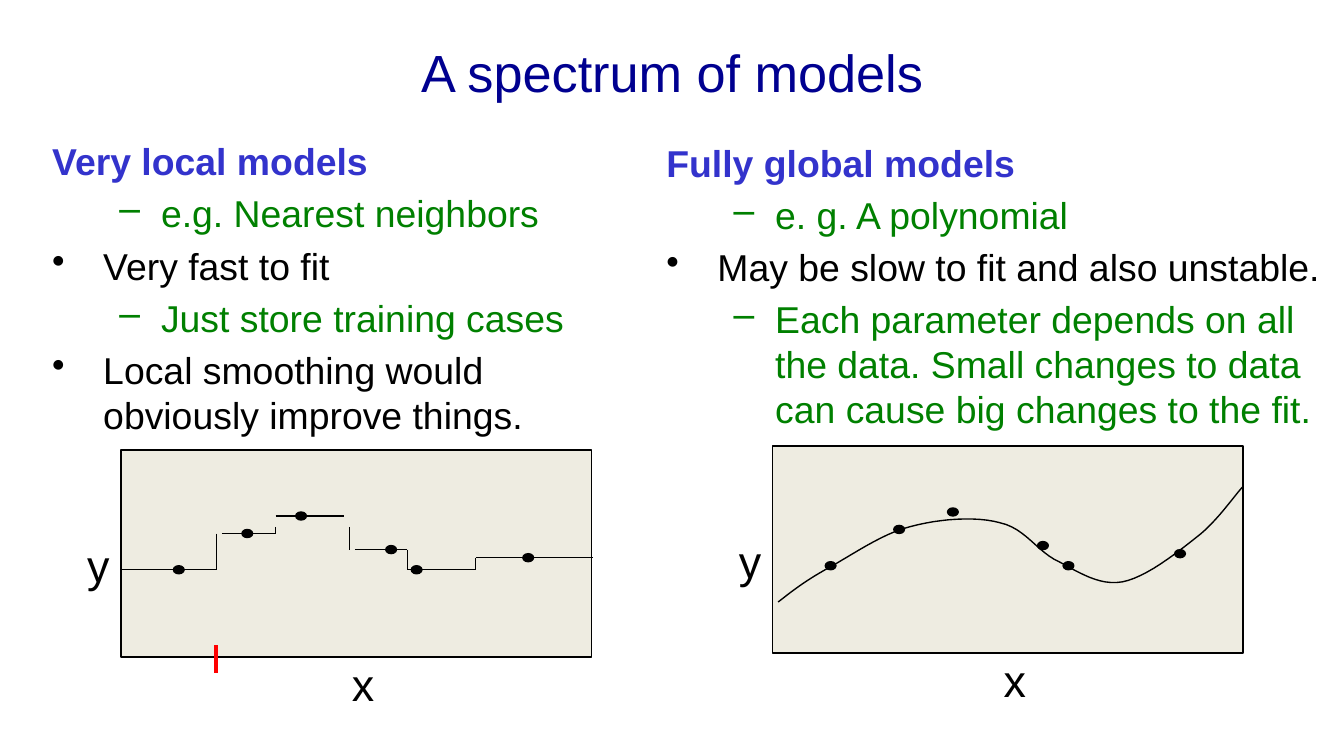
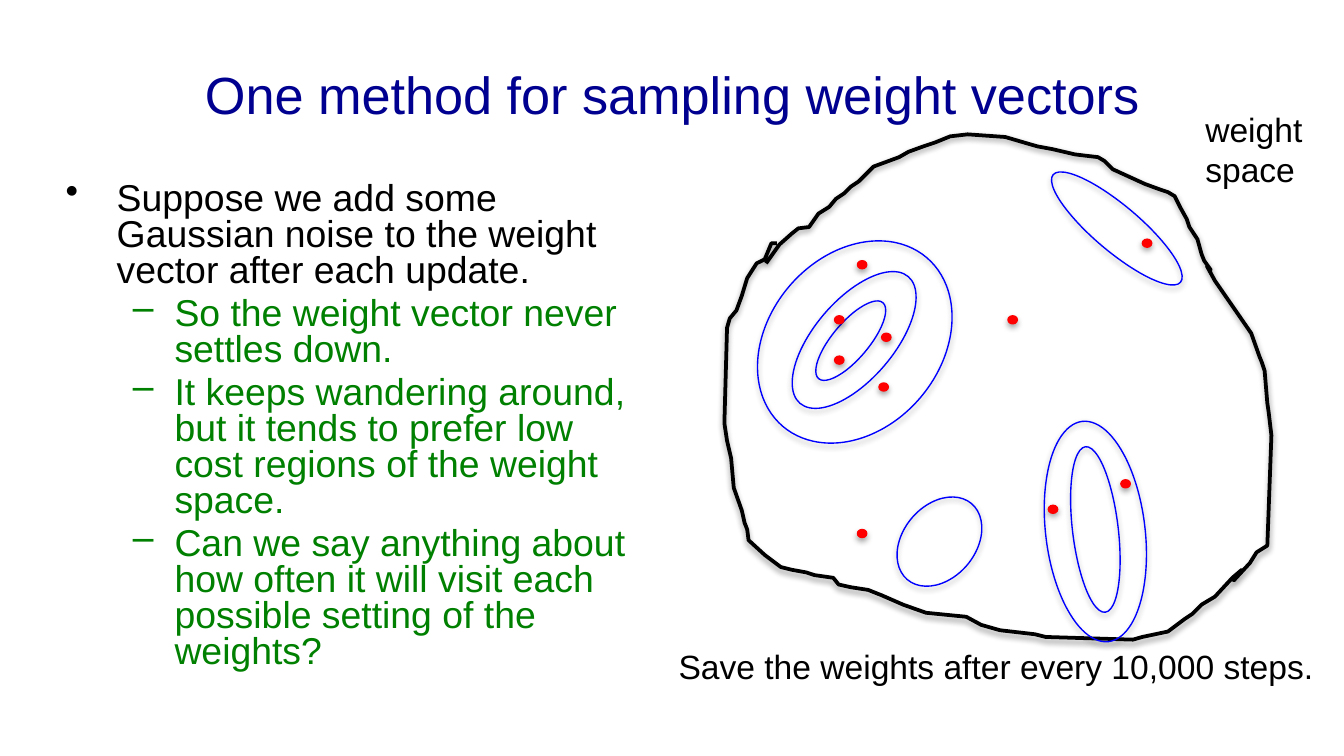
from collections import namedtuple

from lxml.etree import SubElement
from pptx import Presentation
from pptx.dml.color import RGBColor
from pptx.enum.shapes import MSO_CONNECTOR as Connector, MSO_SHAPE as Preset
from pptx.enum.text import MSO_ANCHOR as Anchor, PP_ALIGN as Align
from pptx.oxml.ns import qn
from pptx.util import Inches, Pt

# Every length is a number of grid cells: 100 columns by 56.25 rows
COLUMNS, ROWS = 100, 56.25
CELL = Inches(10) / COLUMNS
Box = namedtuple("Box", "left top width height")

FONT = "Arial"
NAVY, INDIGO, GREEN = "000090", "3333CC", "008000"
BLACK, RED, BLUE, SAND = "000000", "FF0000", "0000FF", "EEECE1"
THIN = 0.75

# Body text styles: colour, bold, bullet, left margin, hanging indent, level
Style = namedtuple("Style", "color bold bullet margin hang level")
HEADING = Style(INDIGO, True, None, 3.8, 3.8, 0)
POINT = Style(BLACK, False, "•", 3.8, 3.8, 0)
DETAIL = Style(GREEN, False, "–", 8.1, 3.1, 1)

LOCAL_TEXT = [
    (HEADING, "Very local models"),
    (DETAIL, "e.g. Nearest neighbors"),
    (POINT, "Very fast to fit"),
    (DETAIL, "Just store training cases"),
    (POINT, "Local smoothing would obviously improve things."),
]
GLOBAL_TEXT = [
    (HEADING, "Fully global models"),
    (DETAIL, "e. g. A polynomial"),
    (POINT, "May be slow to fit and also unstable."),
    (DETAIL, "Each parameter depends on all the data. Small changes to data "
             "can cause big changes to the fit."),
]
SAMPLING_TEXT = [
    (POINT, "Suppose we add some Gaussian noise to the weight vector after each update."),
    (DETAIL, "So the weight vector never settles down."),
    (DETAIL, "It keeps wandering around, but it tends to prefer low cost regions "
             "of the weight space."),
    (DETAIL, "Can we say anything about how often it will visit each possible "
             "setting of the weights?"),
]

# Plot parts, relative to the plot's box
TRAINING_CASES = [(3.9, 8.6), (9, 5.9), (13, 4.6), (19.7, 7.1), (21.6, 8.6), (29.9, 7.7)]
STEPS = [
    (0, 8.9, 7.1, 8.9), (7.5, 6.2, 11.5, 6.2), (11.5, 4.9, 16.6, 4.9),
    (17.4, 7.4, 21.3, 7.4), (21.3, 8.9, 26.4, 8.9), (26.4, 8, 35.1, 8),
    (7.1, 6.2, 7.1, 8.9), (11.5, 5.7, 11.5, 6.2), (17, 5.7, 17, 7.4),
    (21.3, 7.4, 21.3, 8.9), (26.4, 8.9, 26.4, 8),
]
BOUNDARY_TICK = (7.1, 14.5, 7.1, 16.6)
POLYNOMIAL = [
    (0.4, 11.6), (1.3, 10.9), (2.3, 10.1), (3.9, 9.2), (5.6, 8.3), (8.1, 6.5),
    (10.2, 6), (12.4, 5.4), (15.1, 5.2), (16.9, 5.7), (18.8, 6.1), (19.7, 7.9),
    (21.3, 8.6), (22.8, 9.4), (24.3, 10.4), (26, 10.1), (27.7, 9.8), (30, 8),
    (31.5, 6.8), (33, 5.7), (34.4, 3.6), (35, 3),
]

# Weight space parts, relative to the region's box
SPACE_OUTLINE = [
    (7, 9.6), (8, 8.2), (8.9, 7.4), (9.4, 7), (10.2, 6.9), (10.9, 5.9), (11.7, 5.4),
    (12.2, 4.8), (12.8, 4.4), (13.3, 3.9), (13.9, 3.5), (15, 2.4), (16.9, 1.7),
    (17.6, 1.3), (18.7, 0.9), (19.6, 0.6), (20.7, 0.15), (22, 0), (24.8, 0.2),
    (26.5, 0.7), (27.2, 0.9), (28.3, 1.1), (30, 1.5), (31.7, 1.7), (32.2, 2),
    (32.8, 2.6), (35.2, 3.7), (36.3, 4.1), (36.9, 4.3), (37.4, 4.6), (37.8, 5.4),
    (38.3, 6.3), (38.5, 6.9), (39.1, 7.8), (39.4, 8.9), (39.6, 9.4), (40.1, 10.1),
    (39.8, 9.8), (40.4, 10.9), (42.2, 13.5), (43.1, 14.8), (43.7, 16.5), (43.9, 17),
    (44.1, 17.6), (44.3, 20), (44.4, 20.7), (44.6, 22.4), (44.3, 30.6), (43.5, 31.1),
    (43, 31.9), (41.8, 33.2), (42.4, 32.4), (41.7, 33), (40.4, 34.4), (39.4, 35),
    (38.7, 35.7), (38.1, 36.1), (36.9, 37), (35, 37.4), (34.3, 37.6), (27.8, 37.4),
    (27, 37.2), (24.4, 36.9), (23, 36.5), (21.9, 35.9), (18.9, 35.6), (17.2, 35),
    (15.6, 34.3), (14.6, 33.9), (13.3, 33.7), (12.4, 33.5), (12, 33), (10.6, 32.8),
    (10, 32.6), (8.9, 32.4), (8.1, 32.2), (6.9, 31.3), (5.7, 30.2), (5.6, 29.4),
    (5.4, 28.9), (5.2, 28), (4.6, 26.3), (4.4, 24.1), (4.1, 22.8), (3.9, 21.5),
    (4.1, 14.4), (4.3, 13.7), (4.8, 13.1), (5.2, 12), (5.6, 10.7), (6.3, 9.6),
    (6.9, 9.3), (7.4, 8.1), (7.8, 8.1),
]
# Contours: left, top, width, height, rotation
CONTOURS = [
    (27.8, 21.3, 7.4, 16.5, 353.2), (29.8, 23.2, 3.4, 12.4, 353.2),
    (7.2, 7.2, 12.8, 16.5, 40.5), (10.6, 9.1, 5.9, 12.4, 40.5),
    (16.2, 27.6, 7.4, 5.4, 310.2), (31.4, 0.8, 3.4, 12.4, 310.2),
    (9.6, 14, 7.4, 2.7, 310.2),
]
SAMPLES = [(25, 13.5), (28, 27.6), (33.4, 25.7), (35, 7.8), (13.8, 9.4),
           (15.4, 18.5), (15.6, 14.8), (12.1, 16.5), (12.1, 13.5), (13.8, 29.4)]


def color(hex_string):
    return RGBColor.from_string(hex_string)


def cells(*lengths):
    return [round(length * CELL) for length in lengths]


def set_font(paragraph, size, hex_string, bold=False):
    font = paragraph.font
    font.name, font.size, font.bold = FONT, Pt(size), bold
    font.color.rgb = color(hex_string)


def style_shape(shape, fill, line, width=THIN, shadow_opacity=None):
    if fill:
        shape.fill.solid()
        shape.fill.fore_color.rgb = color(fill)
    else:
        shape.fill.background()
    shape.line.color.rgb = color(line)
    shape.line.width = Pt(width)
    shape.shadow.inherit = False
    if shadow_opacity:
        effects = shape._element.spPr.find(qn("a:effectLst"))
        shadow = SubElement(effects, qn("a:outerShdw"), blurRad=str(Pt(3.1)),
                            dist=str(Pt(1.7)), dir="5400000", rotWithShape="0")
        black = SubElement(shadow, qn("a:srgbClr"), val=BLACK)
        SubElement(black, qn("a:alpha"), val=str(shadow_opacity * 1000))


def add_preset(slide, preset, box, fill, line, shadow_opacity=None):
    shape = slide.shapes.add_shape(preset, *cells(*box))
    style_shape(shape, fill, line, shadow_opacity=shadow_opacity)
    return shape


def add_line(slide, box, ends, hex_string=BLACK, width=THIN):
    x1, y1, x2, y2 = ends
    line = slide.shapes.add_connector(Connector.STRAIGHT, *cells(
        box.left + x1, box.top + y1, box.left + x2, box.top + y2))
    line.line.color.rgb = color(hex_string)
    line.line.width = Pt(width)
    SubElement(line._element.spPr, qn("a:effectLst"))


def add_outline(slide, box, points, width=THIN, shadow_opacity=None):
    placed = [cells(box.left + x, box.top + y) for x, y in points]
    builder = slide.shapes.build_freeform(*placed[0], scale=1.0)
    builder.add_line_segments(placed[1:], close=False)
    style_shape(builder.convert_to_shape(), None, BLACK, width, shadow_opacity)


def add_label(slide, box, text, size):
    frame = slide.shapes.add_textbox(*cells(*box)).text_frame
    frame.word_wrap = True
    frame.text = text
    set_font(frame.paragraphs[0], size, BLACK)


def bezier_points(controls, pieces=12):
    """Points along a chain of cubic curves that share their end points."""
    points = [controls[0]]
    for start in range(0, len(controls) - 1, 3):
        for piece in range(1, pieces + 1):
            t = piece / pieces
            weights = ((1 - t) ** 3, 3 * t * (1 - t) ** 2, 3 * t * t * (1 - t), t ** 3)
            curve = controls[start:start + 4]
            points.append(tuple(sum(weight * point[axis] for weight, point
                                    in zip(weights, curve)) for axis in (0, 1)))
    return points


def add_titled_slide(presentation, text, top):
    slide = presentation.slides.add_slide(presentation.slide_layouts[5])
    title = slide.shapes.title
    title.left, title.top, title.width, title.height = cells(5, top, 90, 9.4)
    frame = title.text_frame
    frame.text = text
    frame.vertical_anchor = Anchor.MIDDLE
    frame.paragraphs[0].alignment = Align.CENTER
    set_font(frame.paragraphs[0], 28, NAVY)
    return slide


def add_body(slide, box, items, line_spacing=1.0):
    frame = slide.shapes.add_textbox(*cells(*box)).text_frame
    frame.word_wrap = True
    for index, (style, text) in enumerate(items):
        paragraph = frame.add_paragraph() if index else frame.paragraphs[0]
        paragraph.text = text
        paragraph.level = style.level
        paragraph.line_spacing = line_spacing
        if index:
            paragraph.space_before = Pt(4)
        properties = paragraph._p.get_or_add_pPr()
        margin, hang = cells(style.margin, style.hang)
        properties.set("marL", str(margin))
        properties.set("indent", str(-hang))
        if style.bullet:
            SubElement(properties, qn("a:buChar"), char=style.bullet)
        else:
            SubElement(properties, qn("a:buNone"))
        set_font(paragraph, 20, style.color, style.bold)


def add_plot(slide, box, draw_fit):
    add_preset(slide, Preset.RECTANGLE, box, SAND, BLACK)
    draw_fit(slide, box)
    for x, y in TRAINING_CASES:
        add_preset(slide, Preset.OVAL, (box.left + x, box.top + y, 0.8, 0.6), BLACK, BLACK)
    add_label(slide, (box.left + 16.2, box.top + 14.9, 4.7, 5), "x", 24)
    add_label(slide, (box.left - 3.5, box.top + 6, 6.7, 5), "y", 24)


def draw_steps(slide, box):
    for ends in STEPS:
        add_line(slide, box, ends)
    add_line(slide, box, BOUNDARY_TICK, RED, 2.25)


def draw_polynomial(slide, box):
    add_outline(slide, box, bezier_points(POLYNOMIAL))


def add_weight_space(slide, box):
    add_outline(slide, box, SPACE_OUTLINE, 2, 38)
    # Cost contours
    for x, y, width, height, rotation in CONTOURS:
        contour = add_preset(slide, Preset.OVAL,
                             (box.left + x, box.top + y, width, height), None, BLUE, 35)
        contour.rotation = rotation
    # Sampled weight vectors
    for x, y in SAMPLES:
        add_preset(slide, Preset.OVAL, (box.left + x, box.top + y, 0.7, 0.6), RED, RED, 35)
    add_label(slide, (box.left + 38.7, box.top - 2.4, 11.3, 7.1), "weight space", 18)
    add_label(slide, (box.left - 0.5, box.top + 37.6, 50.5, 4),
              "Save the weights after every 10,000 steps.", 18)


def build_spectrum_slide(presentation):
    slide = add_titled_slide(presentation, "A spectrum of models", 0.6)
    add_body(slide, Box(2.9, 9.8, 46.4, 37.1), LOCAL_TEXT)
    add_body(slide, Box(48.6, 9.9, 51.4, 37.1), GLOBAL_TEXT)
    add_plot(slide, Box(9, 33.5, 35, 15.4), draw_steps)
    add_plot(slide, Box(57.5, 33.2, 35, 15.4), draw_polynomial)


def build_sampling_slide(presentation):
    slide = add_titled_slide(presentation, "One method for sampling weight vectors", 2.3)
    add_body(slide, Box(3.9, 13.1, 44.2, 39.3), SAMPLING_TEXT, 0.8)
    add_weight_space(slide, Box(50, 10, 50, 42))


def main():
    presentation = Presentation()
    presentation.slide_width, presentation.slide_height = cells(COLUMNS, ROWS)
    build_spectrum_slide(presentation)
    build_sampling_slide(presentation)
    presentation.save("out.pptx")


if __name__ == "__main__":
    main()
